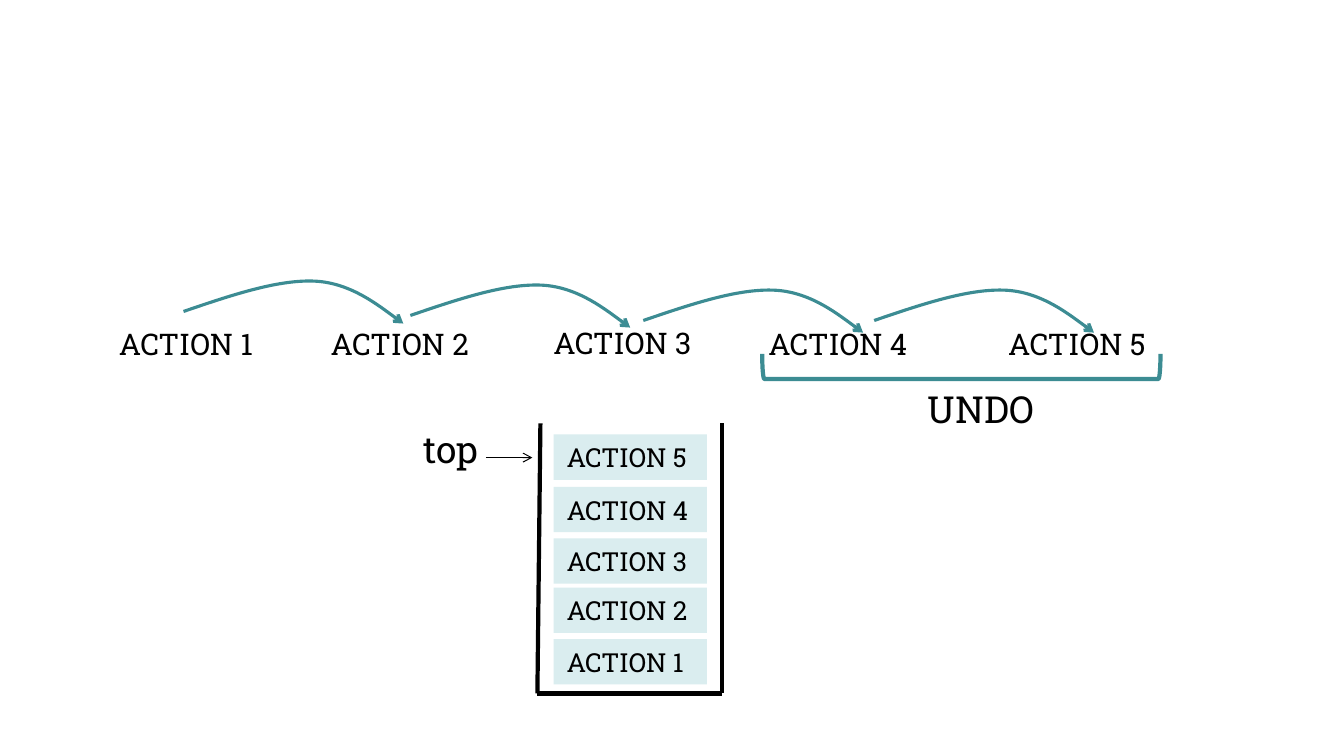
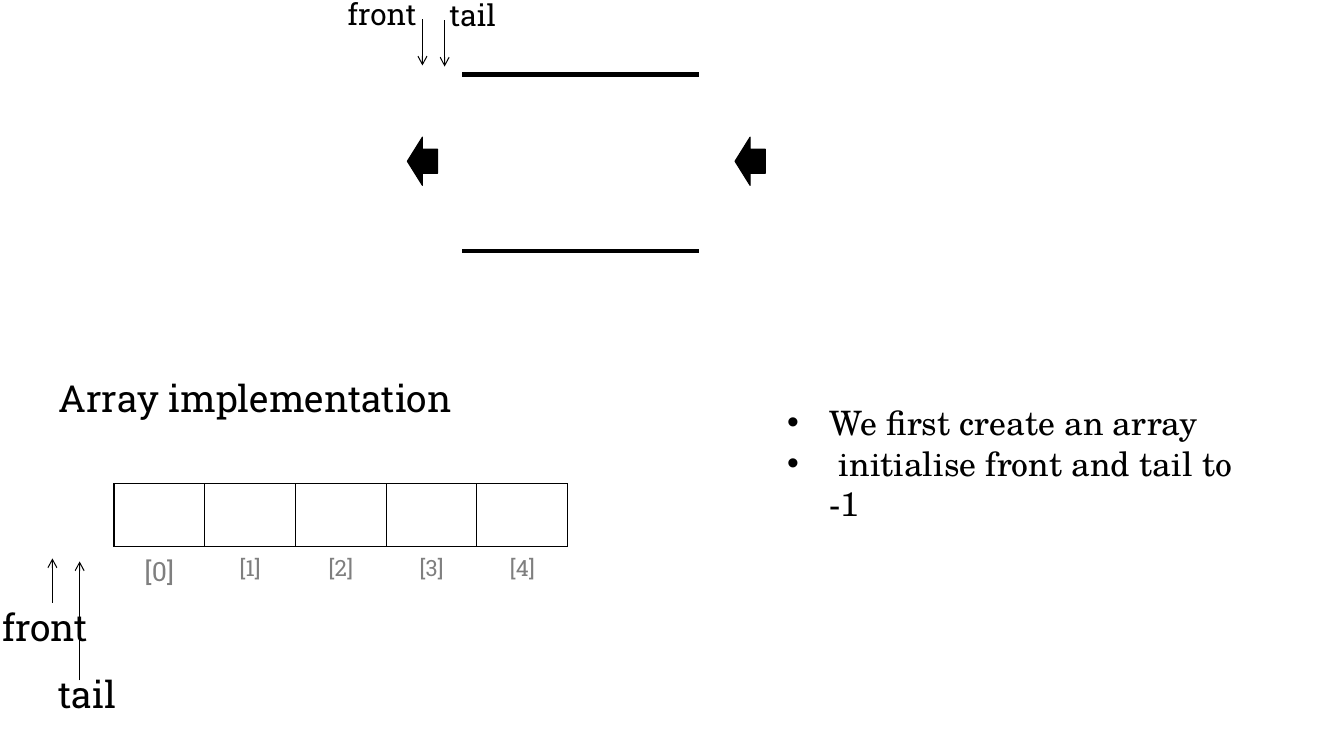
from lxml import etree
from pptx import Presentation
from pptx.dml.color import RGBColor
from pptx.enum.shapes import MSO_CONNECTOR, MSO_SHAPE
from pptx.enum.text import MSO_ANCHOR, PP_ALIGN
from pptx.oxml.ns import qn
from pptx.util import Inches, Pt

STRAIGHT = MSO_CONNECTOR.STRAIGHT
RECTANGLE = MSO_SHAPE.RECTANGLE
LEFT_ARROW = MSO_SHAPE.LEFT_ARROW
LEFT_BRACKET = MSO_SHAPE.LEFT_BRACKET
TOP = MSO_ANCHOR.TOP
LEFT = PP_ALIGN.LEFT
CENTER = PP_ALIGN.CENTER

BLACK = RGBColor(0x00, 0x00, 0x00)
WHITE = RGBColor(0xFF, 0xFF, 0xFF)
TEAL = RGBColor(0x3C, 0x8C, 0x93)
PALE_TEAL = RGBColor(0xDA, 0xED, 0xEF)
GRAY = RGBColor(0x7F, 0x7F, 0x7F)

SLAB = "Roboto Slab"
SCHOLA = "TeX Gyre Schola"
LARGE, MEDIUM, SMALL = 26.67, 21.33, 18.67
INSETS = {
    "margin_left": Inches(0.13),
    "margin_right": Inches(0.13),
    "margin_top": Inches(0.07),
    "margin_bottom": Inches(0.07),
}
HOP_POINTS = ((0.47, -0.16), (0.94, -0.32), (1.31, -0.3),
              (1.67, -0.28), (2.18, 0.12), (2.18, 0.12))


def apply(target, values):
    """Set each named format value on the target."""
    for key, value in values.items():
        setattr(target, key, value)


def write(paragraph, text, size, font=SLAB, color=BLACK, align=LEFT):
    """Put one formatted run in a paragraph."""
    run = paragraph.add_run()
    run.text = text
    apply(run.font, {"name": font, "size": Pt(size)})
    run.font.color.rgb = color
    paragraph.alignment = align


def add_label(slide, text, left, top, width, size, height=0.65, align=LEFT):
    """Add a one-line text box."""
    label = slide.shapes.add_textbox(
        Inches(left), Inches(top), Inches(width), Inches(height))
    apply(label.text_frame, {"word_wrap": True, **INSETS})
    write(label.text_frame.paragraphs[0], text, size, align=align)


def style_line(shape, color, weight, arrow=False):
    """Colour an outline and optionally end it with an arrowhead."""
    shape.line.color.rgb = color
    shape.line.width = Pt(weight)
    if arrow:
        outline = shape.element.spPr.find(qn("a:ln"))
        etree.SubElement(outline, qn("a:tailEnd"), type="arrow")


def add_line(slide, start, end, weight=3, arrow=False):
    """Add a straight black line without shadow."""
    line = slide.shapes.add_connector(
        STRAIGHT, *(Inches(value) for value in (*start, *end)))
    style_line(line, BLACK, weight, arrow)
    etree.SubElement(line.element.spPr, qn("a:effectLst"))


def add_pointer(slide, start, end):
    """Add a thin arrow."""
    add_line(slide, start, end, 0.75, True)


def add_block(slide, kind, left, top, width, height, fill=None):
    """Add a preset shape without shadow or outline."""
    block = slide.shapes.add_shape(
        kind, Inches(left), Inches(top), Inches(width), Inches(height))
    block.shadow.inherit = False
    block.line.fill.background()
    if fill is None:
        block.fill.background()
    else:
        block.fill.solid()
        block.fill.fore_color.rgb = fill
    return block


def add_hop(slide, left, top):
    """Draw the curved arrow from one action to the next."""
    builder = slide.shapes.build_freeform(Inches(left), Inches(top))
    builder.add_line_segments(
        [(Inches(left + x), Inches(top + y)) for x, y in HOP_POINTS], close=False)
    hop = builder.convert_to_shape()
    hop.shadow.inherit = False
    hop.fill.background()
    style_line(hop, TEAL, 2.25, True)
    track = next(hop.element.spPr.iter(qn("a:path")))
    segments = track.findall(qn("a:lnTo"))
    for first in range(0, len(segments), 3):
        curve = etree.SubElement(track, qn("a:cubicBezTo"))
        for segment in segments[first:first + 3]:
            curve.append(segment[0])
            track.remove(segment)


def add_timeline(slide, left, top):
    """Draw the row of actions, the hops and the undo bracket."""
    label_offsets = ((0, 0), (2.1, 0), (4.31, -0.01), (6.44, 0), (8.82, 0))
    for number, (x, y) in enumerate(label_offsets, 1):
        add_label(slide, f"ACTION {number}", left + x, top + y, 1.76, MEDIUM)
    for x, y in ((0.77, -0.07), (3.02, -0.03), (5.33, 0.02), (7.62, 0.02)):
        add_hop(slide, left + x, top + y)
    bracket = add_block(slide, LEFT_BRACKET, left + 8.36, top - 1.5, 0.25, 3.95)
    bracket.rotation = 270
    style_line(bracket, TEAL, 3)
    add_label(slide, "UNDO", left + 8.02, top + 0.6, 1.78, LARGE)


def add_stack(slide, left, top, width, height):
    """Draw the open container with its actions and the top pointer."""
    right, bottom = left + width, top + height
    add_line(slide, (left + 0.03, top), (left, bottom))
    add_line(slide, (right, top), (right, bottom))
    add_line(slide, (right, bottom), (left, bottom))
    for number, y in enumerate((2.14, 1.63, 1.14, 0.63, 0.11), 1):
        item = add_block(slide, RECTANGLE, left + 0.16, top + y,
                         1.52, 0.45, PALE_TEAL)
        apply(item.text_frame,
              {"word_wrap": True, "vertical_anchor": TOP, **INSETS})
        write(item.text_frame.paragraphs[0], f"ACTION {number}", SMALL)
    add_label(slide, "top", left - 1.26, top - 0.04, 0.94, LARGE)
    add_pointer(slide, (left - 0.51, top + 0.34), (left - 0.05, top + 0.34))


def add_queue(slide, left, top, width, height):
    """Draw the empty queue with its flow arrows and pointers."""
    for y in (top, top + height):
        add_line(slide, (left + width, y), (left, y))
    for x in (left - 0.54, left + 2.71):
        arrow = add_block(slide, LEFT_ARROW, x, top + 0.62, 0.3, 0.48, BLACK)
        style_line(arrow, BLACK, 0.75)
    for text, label_x, label_y, pointer_x, pointer_y in (
            ("front", -1.34, -0.85, -0.39, -0.55),
            ("tail", -0.44, -0.84, -0.17, -0.54)):
        add_label(slide, text, left + label_x, top + label_y, 1.1, MEDIUM, 0.6, CENTER)
        x, y = left + pointer_x, top + pointer_y
        add_pointer(slide, (x, y), (x, y + 0.46))


def set_borders(cell, sides):
    """Draw black borders on the given sides and clear the others."""
    properties = cell._tc.get_or_add_tcPr()
    for side in "LRTB":
        border = etree.SubElement(properties, qn(f"a:ln{side}"), w=str(Pt(1)))
        if side in sides:
            fill = etree.SubElement(border, qn("a:solidFill"))
            etree.SubElement(fill, qn("a:srgbClr"), val=str(BLACK))
        else:
            etree.SubElement(border, qn("a:noFill"))


def add_array(slide, left, top, width, count=5):
    """Draw the empty array with its indexes and pointers."""
    add_label(slide, "Array implementation", left - 0.68, top - 1.15, 4.46, LARGE)
    table = slide.shapes.add_table(
        2, count, Inches(left), Inches(top), Inches(width), Inches(1.06)).table
    apply(table, {"first_row": False, "horz_banding": False})
    for row, height in zip(table.rows, (0.62, 0.44)):
        row.height = Inches(height)
    for index in range(count):
        slot, caption = table.cell(0, index), table.cell(1, index)
        set_borders(slot, "LRTB")
        slot.fill.solid()
        slot.fill.fore_color.rgb = WHITE
        set_borders(caption, "T")
        caption.fill.background()
        apply(caption, INSETS)
        write(caption.text_frame.paragraphs[0], f"[{index}]",
              16 if index else 19, color=GRAY, align=CENTER)
    for text, label_x, label_y, x, start, end in (
            ("front", -1.24, 1.12, -0.61, 1.18, 0.74),
            ("tail", -0.68, 1.79, -0.34, 1.95, 0.77)):
        add_label(slide, text, left + label_x, top + label_y, 1.28, LARGE)
        add_pointer(slide, (left + x, top + start), (left + x, top + end))


def add_steps(slide, left, top, width, height):
    """Add the bulleted setup steps."""
    steps = slide.shapes.add_textbox(
        Inches(left), Inches(top), Inches(width), Inches(height)).text_frame
    steps.word_wrap = True
    texts = ("We first create an array", " initialise front and tail to -1")
    for index, text in enumerate(texts):
        step = steps.add_paragraph() if index else steps.paragraphs[0]
        write(step, text, 24, SCHOLA)
        properties = step._p.get_or_add_pPr()
        for key, value in {"marL": 0.42, "indent": -0.42}.items():
            properties.set(key, str(Inches(value)))
        etree.SubElement(properties, qn("a:buFont"), typeface="Arial")
        etree.SubElement(properties, qn("a:buChar"), char="•")


def build_undo_slide(slide):
    """Build the slide on undo with a stack."""
    add_timeline(slide, 1.05, 3.16)
    add_stack(slide, 5.33, 4.2, 1.83, 2.68)


def build_queue_slide(slide):
    """Build the slide on the array queue."""
    add_array(slide, 1.13, 4.8, 4.5)
    add_queue(slide, 4.58, 0.74, 2.35, 1.75)
    add_steps(slide, 7.71, 3.94, 4.74, 0.91)


def main():
    """Build and save the presentation."""
    deck = Presentation()
    apply(deck, {"slide_width": Inches(13.33), "slide_height": Inches(7.5)})
    blank = deck.slide_layouts[6]
    for build in (build_undo_slide, build_queue_slide):
        build(deck.slides.add_slide(blank))
    deck.save("out.pptx")


if __name__ == "__main__":
    main()
